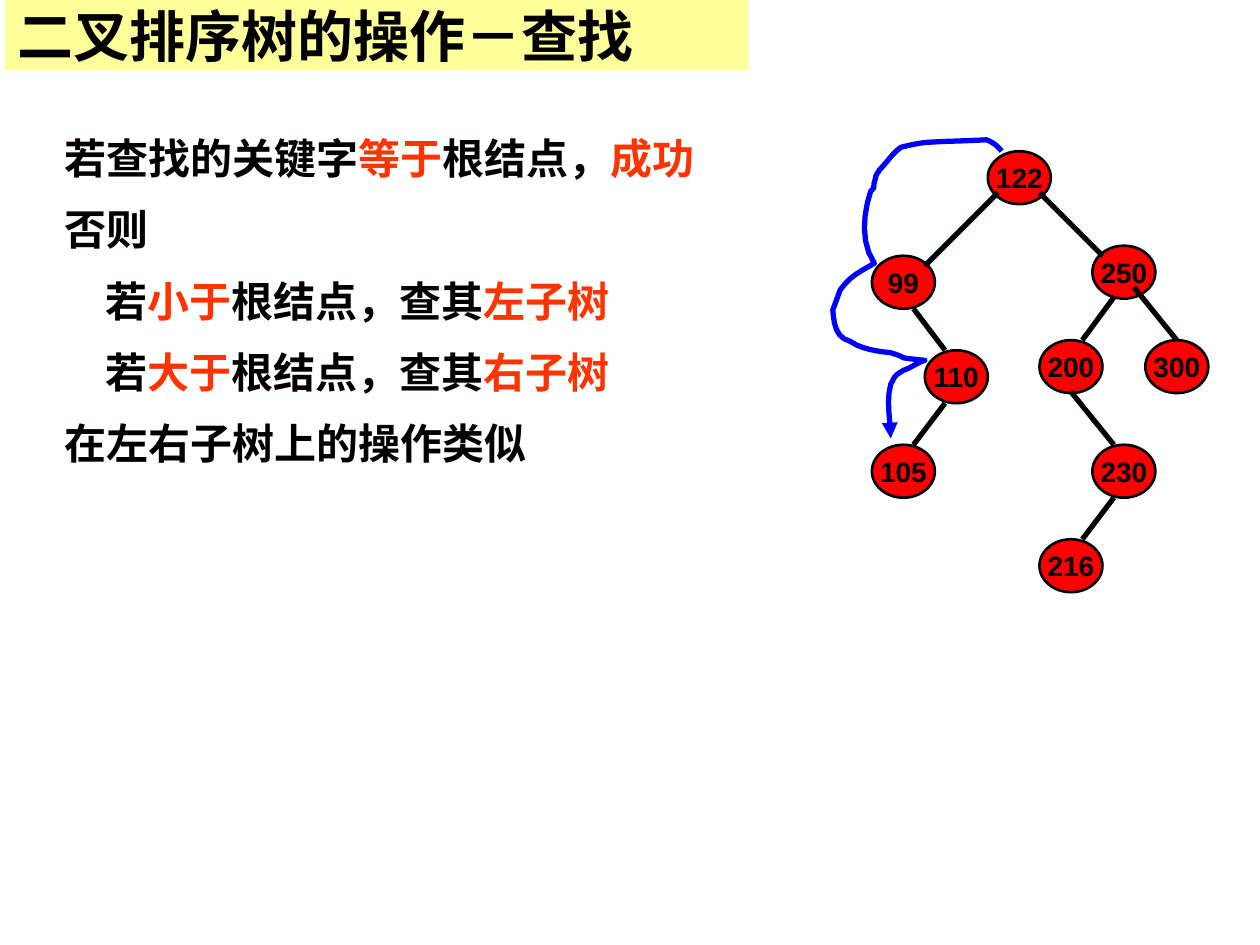
"""Build a slide on searching a binary search tree."""
from lxml.etree import SubElement
from pptx import Presentation
from pptx.dml.color import RGBColor
from pptx.enum.shapes import MSO_CONNECTOR, MSO_SHAPE
from pptx.enum.text import MSO_ANCHOR, MSO_AUTO_SIZE, PP_ALIGN
from pptx.oxml.ns import qn
from pptx.util import Inches, Pt

COLORS = {
    "background": "FEFFFF", "banner": "FFFF99", "text": "000000",
    "accent": "FF3300", "node": "FF0000", "edge": "000000", "route": "0000FF",
}
CHINESE_FONT = "Noto Sans CJK SC"
NUMBER_FONT = "Arial"
TITLE = "二叉排序树的操作－查找"
STEPS = [
    (0, [("若查找的关键字", "text"), ("等于", "accent"), ("根结点，", "text"), ("成功", "accent")]),
    (0, [("否则", "text")]),
    (1, [("若", "text"), ("小于", "accent"), ("根结点，查其", "text"), ("左子树", "accent")]),
    (1, [("若", "text"), ("大于", "accent"), ("根结点，查其", "text"), ("右子树", "accent")]),
    (0, [("在左右子树上的操作类似", "text")]),
]
BASE_INDENT, STEP_INDENT = 0.5, 0.33
NODE_WIDTH, NODE_HEIGHT = 0.5, 0.42
NODES = {
    "122": (7.84, 1.2), "250": (8.67, 1.95), "300": (9.09, 2.7),
    "110": (7.34, 2.78), "200": (8.25, 2.7), "99": (6.92, 2.03),
    "105": (6.92, 3.53), "230": (8.67, 3.53), "216": (8.25, 4.28),
}
EDGES = [
    ((7.92, 1.53), (7.34, 2.11)), ((8.25, 1.53), (8.75, 2.03)),
    ((9, 2.28), (9.34, 2.7)), ((8.84, 2.36), (8.59, 2.7)),
    ((7.25, 2.45), (7.5, 2.78)), ((7.5, 3.2), (7.25, 3.53)),
    ((8.5, 3.11), (8.84, 3.53)), ((8.84, 3.95), (8.59, 4.28)),
]
ROUTE_START = (7.95, 1.2)
ROUTE_CURVES = [
    ((7.92, 1.16), (7.88, 1.13), (7.83, 1.11)),
    ((7.67, 1.12), (7.52, 1.12), (7.37, 1.13)),
    ((7.3, 1.13), (7.15, 1.17), (7.15, 1.17)),
    ((7.08, 1.22), (7.04, 1.29), (6.98, 1.35)),
    ((6.97, 1.37), (6.95, 1.39), (6.95, 1.41)),
    ((6.91, 1.54), (6.97, 1.45), (6.91, 1.52)),
    ((6.85, 1.7), (6.83, 1.93), (6.94, 2.09)),
    ((6.82, 2.16), (6.75, 2.19), (6.67, 2.3)),
    ((6.65, 2.35), (6.63, 2.41), (6.61, 2.46)),
    ((6.62, 2.57), (6.63, 2.68), (6.75, 2.71)),
    ((6.83, 2.77), (6.97, 2.79), (7.07, 2.8)),
    ((7.1, 2.81), (7.14, 2.82), (7.17, 2.84)),
    ((7.22, 2.85), (7.34, 2.86), (7.34, 2.86)),
    ((7.28, 2.88), (7.23, 2.92), (7.17, 2.94)),
    ((7.09, 2.99), (7.11, 2.98), (7.07, 3.05)),
    ((7.03, 3.19), (7.07, 3.34), (7.07, 3.48)),
]
CURVE_STEPS = 6


def color(name):
    return RGBColor.from_string(COLORS[name])


def place(shape, left, top, width, height):
    shape.left, shape.top = Inches(left), Inches(top)
    shape.width, shape.height = Inches(width), Inches(height)


def format_run(run, size, font_name, color_name="text"):
    font = run.font
    font.size, font.bold, font.name = Pt(size), True, font_name
    font.color.rgb = color(color_name)
    SubElement(run.font._element, qn("a:ea"), typeface=font_name)


def format_line(line, color_name, width):
    line.color.rgb = color(color_name)
    line.width = Pt(width)


def add_title(slide):
    title = slide.shapes.title
    place(title, 0.04, 0, 5.9, 0.56)
    title.fill.solid()
    title.fill.fore_color.rgb = color("banner")
    frame = title.text_frame
    frame.text = TITLE
    frame.auto_size = MSO_AUTO_SIZE.NONE
    frame.vertical_anchor = MSO_ANCHOR.MIDDLE
    frame.paragraphs[0].alignment = PP_ALIGN.LEFT
    format_run(frame.paragraphs[0].runs[0], 32, CHINESE_FONT)


def add_steps(slide):
    body = slide.placeholders[1]
    place(body, -0.09, 1, 6.04, 2.9)
    frame = body.text_frame
    frame.auto_size = MSO_AUTO_SIZE.NONE
    for index, (level, runs) in enumerate(STEPS):
        paragraph = frame.add_paragraph() if index else frame.paragraphs[0]
        paragraph.space_before = Pt(12 if index else 0)
        properties = paragraph._p.get_or_add_pPr()
        properties.set("marL", str(Inches(BASE_INDENT + level * STEP_INDENT)))
        properties.set("indent", "0")
        SubElement(properties, qn("a:buNone"))
        for text, color_name in runs:
            run = paragraph.add_run()
            run.text = text
            format_run(run, 24, CHINESE_FONT, color_name)


def add_node(shapes, key, left, top):
    node = shapes.add_shape(MSO_SHAPE.OVAL, Inches(left), Inches(top),
                            Inches(NODE_WIDTH), Inches(NODE_HEIGHT))
    node.shadow.inherit = False
    node.fill.solid()
    node.fill.fore_color.rgb = color("node")
    format_line(node.line, "edge", 1.5)
    frame = node.text_frame
    frame.text = key
    frame.word_wrap = False
    frame.vertical_anchor = MSO_ANCHOR.MIDDLE
    frame.paragraphs[0].alignment = PP_ALIGN.CENTER
    format_run(frame.paragraphs[0].runs[0], 16, NUMBER_FONT)


def add_edge(shapes, start, end):
    edge = shapes.add_connector(MSO_CONNECTOR.STRAIGHT, *map(Inches, start + end))
    format_line(edge.line, "edge", 3)
    SubElement(edge._element.spPr, qn("a:effectLst"))


def curve_points(start, curves):
    for first, second, end in curves:
        for step in range(1, CURVE_STEPS + 1):
            t = step / CURVE_STEPS
            weights = ((1 - t) ** 3, 3 * t * (1 - t) ** 2, 3 * t * t * (1 - t), t ** 3)
            corners = (start, first, second, end)
            yield tuple(Inches(sum(w * corner[axis] for w, corner in zip(weights, corners)))
                        for axis in (0, 1))
        start = end


def add_route(shapes):
    builder = shapes.build_freeform(*map(Inches, ROUTE_START))
    builder.add_line_segments(list(curve_points(ROUTE_START, ROUTE_CURVES)), close=False)
    route = builder.convert_to_shape()
    route.shadow.inherit = False
    route.fill.background()
    format_line(route.line, "route", 3)
    SubElement(route.line._get_or_add_ln(), qn("a:tailEnd"), type="triangle")


def main():
    presentation = Presentation()
    presentation.slide_width, presentation.slide_height = Inches(10), Inches(7.5)
    slide = presentation.slides.add_slide(presentation.slide_layouts[1])
    slide.background.fill.solid()
    slide.background.fill.fore_color.rgb = color("background")
    add_title(slide)
    add_steps(slide)
    tree = slide.shapes.add_group_shape()
    for key, (left, top) in NODES.items():
        add_node(tree.shapes, key, left, top)
    for start, end in EDGES:
        add_edge(tree.shapes, start, end)
    add_route(slide.shapes)
    presentation.save("out.pptx")


if __name__ == "__main__":
    main()
